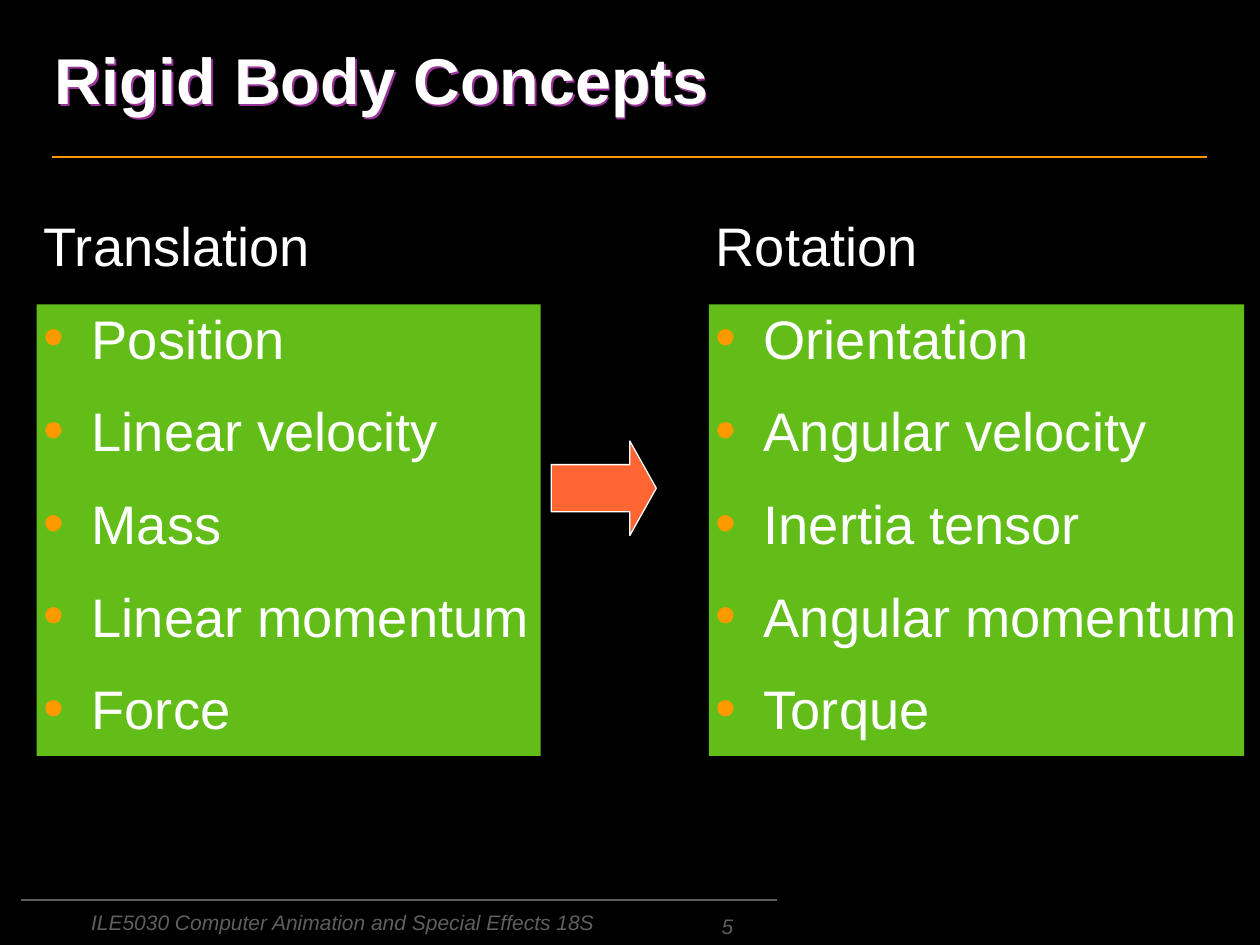
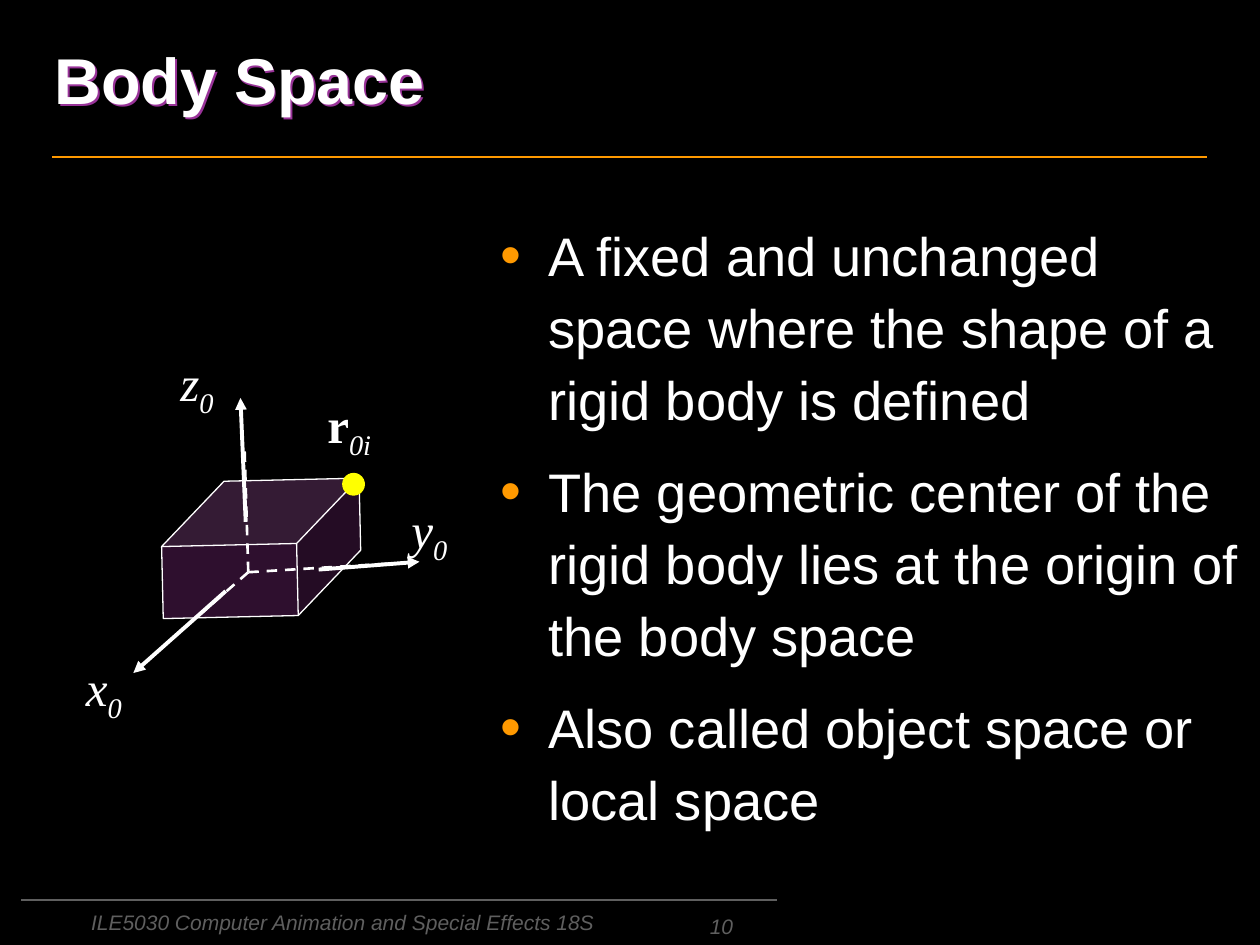
from lxml.etree import SubElement
from pptx import Presentation
from pptx.dml.color import RGBColor
from pptx.enum.dml import MSO_LINE
from pptx.enum.shapes import MSO_CONNECTOR, MSO_SHAPE
from pptx.enum.text import MSO_ANCHOR, MSO_AUTO_SIZE, PP_ALIGN
from pptx.oxml.ns import qn
from pptx.util import Inches, Pt

BLACK = RGBColor(0x00, 0x00, 0x00)
WHITE = RGBColor(0xFF, 0xFF, 0xFF)
ORANGE = RGBColor(0xFF, 0x99, 0x00)
GRAY = RGBColor(0x5F, 0x5F, 0x5F)
GREEN = RGBColor(0x62, 0xBD, 0x19)
CORAL = RGBColor(0xFF, 0x66, 0x33)
PURPLE = RGBColor(0x99, 0x33, 0x99)
YELLOW = RGBColor(0xFF, 0xFF, 0x00)

TITLE_FONT = {"name": "Arial", "size": Pt(37), "bold": True}
BODY_FONT = {"name": "Arial", "size": Pt(31)}
FOOTER_FONT = {"name": "Arial", "size": Pt(12), "italic": True}
MATH_FONT = {"name": "Times New Roman", "size": Pt(28)}
BODY_SPACING = {"line_spacing": 1.1, "space_before": Pt(6), "space_after": Pt(6)}
INDENT = Inches(0.38)
COURSE = "ILE5030 Computer Animation and Special Effects 18S"


def apply(target, formats):
    for name, value in formats.items():
        setattr(target, name, value)


def add_xml(parent, tag, **attributes):
    return SubElement(parent, qn(tag), {key: str(value) for key, value in attributes.items()})


class Deck:
    """Holds the style and the current slide; lengths are cells of a 240 x 180 grid."""

    COLUMNS = 240

    def __init__(self):
        self.presentation = Presentation()
        self.presentation.slide_width = Inches(10)
        self.presentation.slide_height = Inches(7.5)
        self.cell = self.presentation.slide_width / self.COLUMNS
        self.slide = None

    def grid(self, *cells):
        return [round(count * self.cell) for count in cells]

    def start_slide(self, title, number):
        title_only = self.presentation.slide_layouts[5]
        self.slide = self.presentation.slides.add_slide(title_only)
        background = self.slide.background.fill
        background.solid()
        background.fore_color.rgb = BLACK
        self.title(title)
        self.line((10, 29.9), (230, 29.9), ORANGE, 1)
        self.line((4, 171.5), (148, 171.5), GRAY, 1)
        course = self.text_box(15, 172, 119, 8)
        self.run(course.text_frame.paragraphs[0], COURSE, FOOTER_FONT, GRAY)
        page = self.text_box(86, 173.5, 56, 6.5)
        page.text_frame.vertical_anchor = MSO_ANCHOR.BOTTOM
        page_line = page.text_frame.paragraphs[0]
        page_line.alignment = PP_ALIGN.RIGHT
        self.run(page_line, str(number), FOOTER_FONT, GRAY)

    def title(self, text):
        holder = self.slide.shapes.title
        holder.left, holder.top, holder.width, holder.height = self.grid(8, 0, 176, 30)
        apply(holder.text_frame, {"vertical_anchor": MSO_ANCHOR.MIDDLE, "word_wrap": True,
                                  "auto_size": MSO_AUTO_SIZE.NONE})
        paragraph = holder.text_frame.paragraphs[0]
        paragraph.alignment = PP_ALIGN.LEFT
        self.run(paragraph, text, TITLE_FONT)
        effects = add_xml(holder.element.spPr, "a:effectLst")
        shadow = add_xml(effects, "a:outerShdw", dist=Pt(1.5), dir=2700000, algn="ctr",
                         rotWithShape=0)
        add_xml(shadow, "a:srgbClr", val=PURPLE)

    def run(self, paragraph, text, font, color=WHITE):
        run = paragraph.add_run()
        run.text = text
        apply(run.font, font)
        run.font.color.rgb = color

    def text_box(self, *place, wrap=True):
        box = self.slide.shapes.add_textbox(*self.grid(*place))
        box.text_frame.word_wrap = wrap
        return box

    def body(self, place, items, heading=None):
        """Add a bulleted list, under a heading without a bullet if one is given."""
        box = self.text_box(*place)
        frame = box.text_frame
        entries = ([heading] if heading else []) + items
        for index, entry in enumerate(entries):
            paragraph = frame.add_paragraph() if index else frame.paragraphs[0]
            apply(paragraph, BODY_SPACING)
            self.run(paragraph, entry, BODY_FONT)
        for entry, properties in zip(entries, list(box.element.iter(qn("a:pPr")))):
            properties.set("marL", str(INDENT))
            properties.set("indent", str(-INDENT))
            if entry != heading:
                add_xml(add_xml(properties, "a:buClr"), "a:srgbClr", val=ORANGE)
                add_xml(properties, "a:buSzPct", val=110000)
                add_xml(properties, "a:buFont", typeface="Arial")
                add_xml(properties, "a:buChar", char="•")

    def shape(self, kind, place, fill, outline=None, rotation=0, adjustments=(), opacity=None):
        shape = self.slide.shapes.add_shape(kind, *self.grid(*place))
        shape.shadow.inherit = False
        shape.rotation = rotation
        for index, value in enumerate(adjustments):
            shape.adjustments[index] = value
        shape.fill.solid()
        shape.fill.fore_color.rgb = fill
        if opacity is not None:
            color = shape.element.spPr.find(qn("a:solidFill")).find(qn("a:srgbClr"))
            add_xml(color, "a:alpha", val=opacity * 1000)
        if outline is None:
            shape.line.fill.background()
        else:
            shape.line.color.rgb = outline
            shape.line.width = Pt(0.75)
        return shape

    def line(self, start, end, color, width, dashed=False, arrow=False):
        line = self.slide.shapes.add_connector(
            MSO_CONNECTOR.STRAIGHT, *self.grid(*start, *end))
        line.line.color.rgb = color
        line.line.width = Pt(width)
        if dashed:
            line.line.dash_style = MSO_LINE.DASH
        properties = line.element.spPr
        if arrow:
            add_xml(properties.find(qn("a:ln")), "a:tailEnd", type="triangle")
        add_xml(properties, "a:effectLst")
        return line

    def symbol(self, left, top, width, letter, subscript, bold=False):
        """Add a letter with a lowered italic index; the width must hold both on one line."""
        box = self.text_box(left, top, width, 13.7, wrap=False)
        box.text_frame.auto_size = MSO_AUTO_SIZE.SHAPE_TO_FIT_TEXT
        paragraph = box.text_frame.paragraphs[0]
        self.run(paragraph, letter, {**MATH_FONT, "bold": bold, "italic": not bold})
        self.run(paragraph, subscript, {**MATH_FONT, "italic": True})
        index_properties = list(box.element.iter(qn("a:rPr")))[-1]
        index_properties.set("baseline", "-25000")
        return box

    def group(self, parts):
        self.slide.shapes.add_group_shape(parts)


def rigid_body_concepts(deck):
    deck.start_slide("Rigid Body Concepts", 5)
    motions = [
        ("Translation", 7, 96, 6, 103,
         ["Position", "Linear velocity", "Mass", "Linear momentum", "Force"]),
        ("Rotation", 135, 102, 134, 106,
         ["Orientation", "Angular velocity", "Inertia tensor", "Angular momentum", "Torque"]),
    ]
    for motion, panel_left, panel_width, list_left, list_width, quantities in motions:
        deck.shape(MSO_SHAPE.RECTANGLE, (panel_left, 58, panel_width, 86), GREEN)
        deck.body((list_left, 38, list_width, 132), quantities, heading=motion)
    deck.shape(MSO_SHAPE.RIGHT_ARROW, (105, 84, 20, 18), CORAL, WHITE, adjustments=(0.5, 0.28))


def body_space(deck):
    deck.start_slide("Body Space", 10)
    deck.body((93, 40, 147, 132), [
        "A fixed and unchanged space where the shape of a rigid body is defined",
        "The geometric center of the rigid body lies at the origin of the body space",
        "Also called object space or local space",
    ])
    origin = (47.3, 109)
    hidden_ends = [(29.8, 124.3), (75.1, 107.3), (46.6, 85.7)]
    visible_axes = [((43, 112.6), (25.4, 128.2)),
                    ((60.7, 108.5), (79.9, 107)),
                    ((46.8, 99.4), (45.8, 75.8))]
    diagram = [deck.shape(MSO_SHAPE.CUBE, (30.8, 91.5, 37.9, 25.9), PURPLE, WHITE,
                          rotation=358.7, adjustments=(0.47,), opacity=30)]
    diagram += [deck.line(origin, end, WHITE, 1.5, dashed=True) for end in hidden_ends]
    diagram += [deck.line(start, end, WHITE, 2.25, arrow=True) for start, end in visible_axes]
    diagram.append(deck.shape(MSO_SHAPE.OVAL, (65.3, 90.2, 4.1, 4.1), YELLOW, YELLOW,
                              rotation=17.7))
    for left, top, axis in [(14, 124, "x"), (76, 94, "y"), (32, 66, "z")]:
        diagram.append(deck.symbol(left, top, 12.2, axis, "0"))
    diagram.append(deck.symbol(60, 74, 14, "r", "0i", bold=True))
    deck.group(diagram)


def main():
    deck = Deck()
    rigid_body_concepts(deck)
    body_space(deck)
    deck.presentation.save("out.pptx")


if __name__ == "__main__":
    main()
